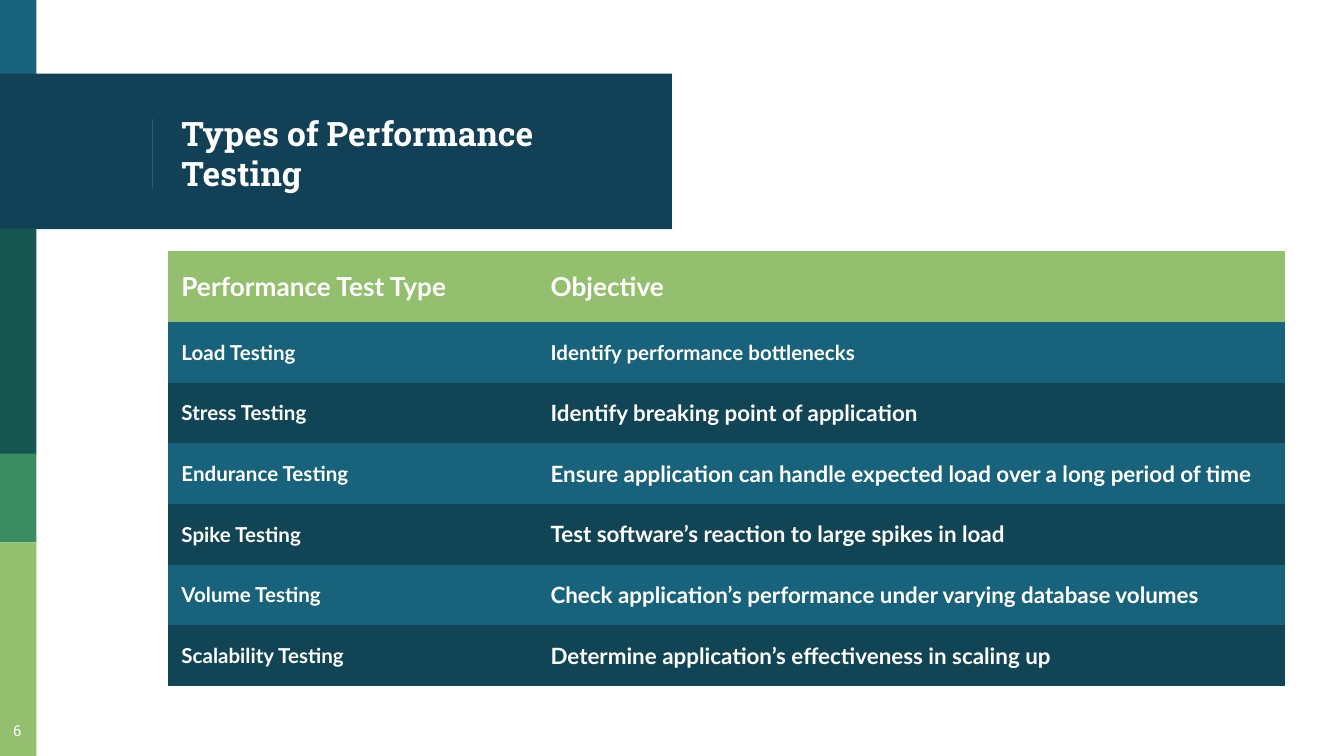
from pptx import Presentation
from pptx.dml.color import RGBColor
from pptx.enum.shapes import MSO_CONNECTOR as Connector, MSO_SHAPE as Shape
from pptx.enum.text import MSO_ANCHOR as Anchor, MSO_AUTO_SIZE as AutoSize, PP_ALIGN as Align
from pptx.oxml.ns import qn
from pptx.util import Pt
from lxml import etree

COLORS = {
    "white": "FFFFFF", "blue": "18637B", "navy": "124057", "teal": "165751",
    "green": "3B8D61", "lime": "94BF6E", "dark": "114454",
}


def color(name):
    return RGBColor.from_string(COLORS[name])


def write(frame, text, size, font, bold=False, align=Align.LEFT):
    """Put one formatted paragraph into a text frame."""
    paragraph = frame.paragraphs[0]
    paragraph.alignment = align
    run = paragraph.add_run()
    run.text = text
    for key, value in {"size": Pt(size), "name": font, "bold": bold}.items():
        setattr(run.font, key, value)
    run.font.color.rgb = color("white")


deck = Presentation()
deck.slide_width, deck.slide_height = Pt(720), Pt(405)
slide = deck.slides.add_slide(deck.slide_layouts[5])
shapes = slide.shapes

# Side strip and title band: top, width, height, colour
bands = [
    (0, 19.5, 41.75, "blue"),
    (39.4, 360, 83.3, "navy"),
    (122.4, 19.5, 121, "teal"),
    (243.1, 19.5, 47.5, "green"),
    (290.6, 19.5, 114.4, "lime"),
]
for top, width, height, fill in bands:
    band = shapes.add_shape(Shape.RECTANGLE, 0, Pt(top), Pt(width), Pt(height))
    band.shadow.inherit = False
    band.fill.solid()
    band.fill.fore_color.rgb = color(fill)
    band.line.fill.background()

# Thin rule beside the title
rule = shapes.add_connector(Connector.STRAIGHT, Pt(81.6), Pt(64), Pt(81.6), Pt(100.8))
rule.line.color.rgb = color("blue")
rule.line.width = Pt(0.75)
etree.SubElement(rule._element.spPr, qn("a:effectLst"))

# Title, brought in front of the band
title = shapes.title
rule._element.addnext(title._element)
page_number = shapes.add_textbox(Pt(-4.4), Pt(379.6), Pt(27.4), Pt(25.4))
boxes = [
    (title, {"left": 90, "top": 41.6, "width": 252.7, "height": 80.8}, Anchor.MIDDLE),
    (page_number, {}, Anchor.TOP),
]
for box, place, anchor in boxes:
    for key, value in place.items():
        setattr(box, key, Pt(value))
    frame_format = {
        "word_wrap": True, "auto_size": AutoSize.NONE, "vertical_anchor": anchor,
        "margin_left": Pt(7.2), "margin_right": Pt(7.2),
        "margin_top": Pt(7.2), "margin_bottom": Pt(7.2),
    }
    for key, value in frame_format.items():
        setattr(box.text_frame, key, value)
write(title.text_frame, "Types of Performance Testing", 18, "Roboto Slab", bold=True)
write(page_number.text_frame, "6", 8, "Roboto Slab", align=Align.CENTER)

# Table of test types: type, objective, text sizes
rows = [
    ("Performance Test Type", "Objective", 14, 14),
    ("Load Testing", "Identify performance bottlenecks", 11, 11),
    ("Stress Testing", "Identify breaking point of application", 11, 12),
    ("Endurance Testing", "Ensure application can handle expected load over a long period of time", 11, 12),
    ("Spike Testing", "Test software’s reaction to large spikes in load", 11, 12),
    ("Volume Testing", "Check application’s performance under varying database volumes", 11, 12),
    ("Scalability Testing", "Determine application’s effectiveness in scaling up", 11, 12),
]
header_height, row_height = 38, 32.5
table_height = header_height + row_height * (len(rows) - 1)
test_types = shapes.add_table(len(rows), 2, Pt(90), Pt(134.5), Pt(598.3), Pt(table_height)).table
for column, width in zip(test_types.columns, (197.8, 400.5)):
    column.width = Pt(width)

cell_format = {
    "vertical_anchor": Anchor.MIDDLE,
    "margin_left": Pt(7.2), "margin_right": Pt(7.2),
    "margin_top": Pt(5), "margin_bottom": Pt(5),
}
for index, (test_type, objective, *sizes) in enumerate(rows):
    test_types.rows[index].height = Pt(row_height if index else header_height)
    fill = ("dark", "blue")[index % 2] if index else "lime"
    for cell, text, size in zip(test_types.rows[index].cells, (test_type, objective), sizes):
        for key, value in cell_format.items():
            setattr(cell, key, value)
        cell.fill.solid()
        cell.fill.fore_color.rgb = color(fill)
        write(cell.text_frame, text, size, "Lato", bold=True)

# Cells meet without the style's white grid lines
for cell in test_types.iter_cells():
    properties = cell._tc.get_or_add_tcPr()
    for position, side in enumerate(("lnL", "lnR", "lnT", "lnB")):
        border = etree.Element(qn(f"a:{side}"), w="0")
        etree.SubElement(border, qn("a:noFill"))
        properties.insert(position, border)

deck.save("out.pptx")
